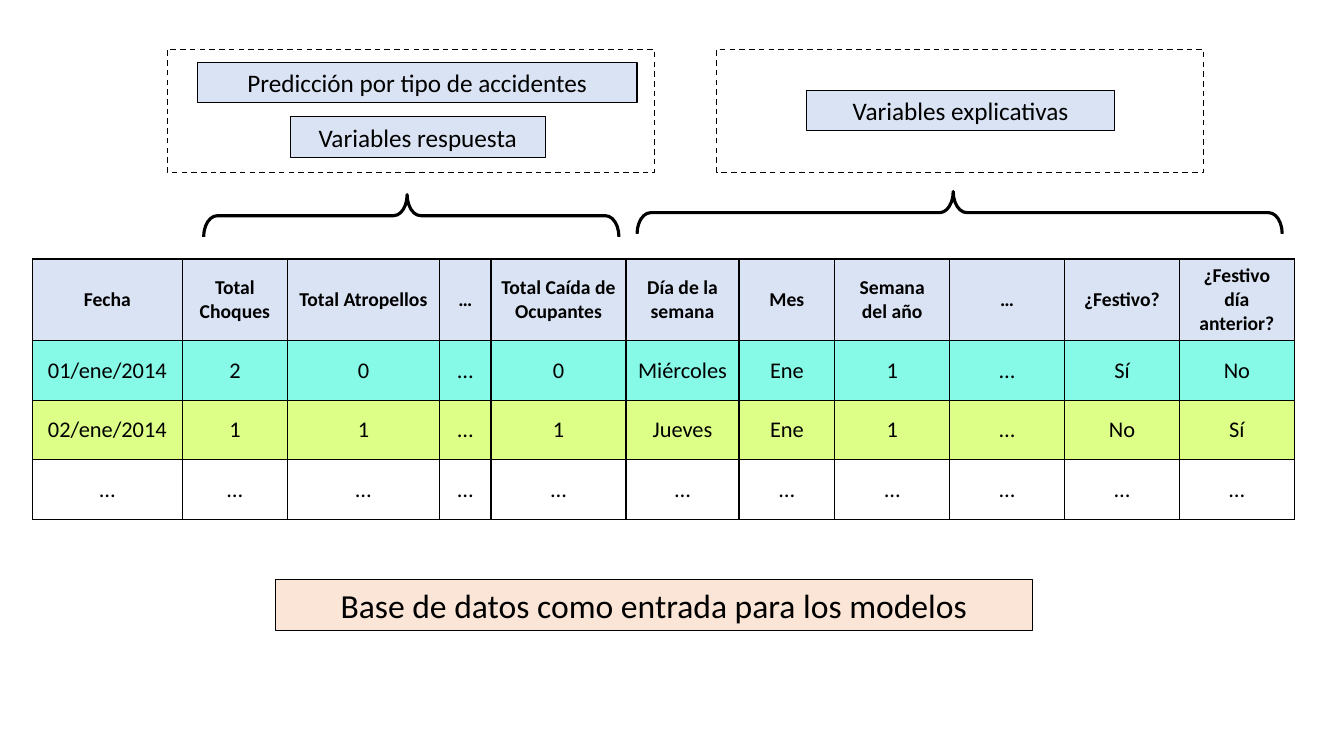
from lxml.etree import SubElement
from pptx import Presentation
from pptx.dml.color import RGBColor
from pptx.enum.dml import MSO_LINE
from pptx.enum.shapes import MSO_SHAPE
from pptx.enum.text import MSO_ANCHOR, MSO_AUTO_SIZE, PP_ALIGN
from pptx.oxml.ns import qn
from pptx.util import Inches, Pt

RECT, BRACE = MSO_SHAPE.RECTANGLE, MSO_SHAPE.LEFT_BRACE
DASH = MSO_LINE.DASH
MIDDLE, CENTER = MSO_ANCHOR.MIDDLE, PP_ALIGN.CENTER
GROW = MSO_AUTO_SIZE.SHAPE_TO_FIT_TEXT

BLACK = RGBColor(0x00, 0x00, 0x00)
BLUE = RGBColor(0xDA, 0xE3, 0xF3)
AQUA = RGBColor(0x86, 0xF9, 0xE7)
LIME = RGBColor(0xDD, 0xFF, 0x87)
PEACH = RGBColor(0xFB, 0xE5, 0xD6)

# Table content: fill, text size, bold, cells
ROWS = [
    (BLUE, 14, True, ["Fecha", "Total\nChoques", "Total Atropellos", "…",
                      "Total Caída de Ocupantes", "Día de la semana", "Mes",
                      "Semana del año", "…", "¿Festivo?",
                      "¿Festivo día anterior?"]),
    (AQUA, 16, False, ["01/ene/2014", "2", "0", "…", "0", "Miércoles",
                       "Ene", "1", "…", "Sí", "No"]),
    (LIME, 16, False, ["02/ene/2014", "1", "1", "…", "1", "Jueves",
                       "Ene", "1", "…", "No", "Sí"]),
    (None, 16, False, ["…"] * 11),
]
COLS = [11.18, 7.8, 11.33, 3.83, 10.05, 8.4, 7.13] + [8.55] * 4
HIGHS = [10.8] + [7.87] * 3


class Board:
    """Draws on one slide; lengths are percent of its width or height."""

    def __init__(self, deck):
        self.wide, self.high = deck.slide_width, deck.slide_height
        self.shapes = deck.slides.add_slide(deck.slide_layouts[6]).shapes
        self.font = {"name": "Calibri", "bold": False}

    def x(self, share):
        return round(self.wide * share / 100)

    def y(self, share):
        return round(self.high * share / 100)

    def area(self, left, top, wide, high):
        return self.x(left), self.y(top), self.x(wide), self.y(high)

    def paint(self, item, color):
        if color is None:
            item.fill.background()
        else:
            item.fill.solid()
            item.fill.fore_color.rgb = color

    def letter(self, frame, text, **style):
        frame.text = text
        for para in frame.paragraphs:
            para.alignment = CENTER
            font = para.runs[0].font
            for key, value in {**self.font, **style}.items():
                setattr(font, key, value)
            font.color.rgb = BLACK

    def shape(self, kind, area, weight, color=None):
        item = self.shapes.add_shape(kind, *area)
        item.shadow.inherit = False
        self.paint(item, color)
        item.line.color.rgb = BLACK
        item.line.width = Pt(weight)
        return item

    def label(self, text, spot, color=BLUE, size=18):
        frame = self.shape(RECT, self.area(*spot), 0.75, color).text_frame
        frame.word_wrap = True
        frame.auto_size = GROW
        self.letter(frame, text, size=Pt(size))

    def group(self, left):
        spot = self.area(left, 6.53, 36.23, 16.27)
        self.shape(RECT, spot, 1).line.dash_style = DASH

    def brace(self, left, top, wide):
        # A left brace turned a quarter, so its box is upright before turning
        x, y, w, h = self.area(left, top, wide, 5.6)
        turned = (x + (w - h) // 2, y + (h - w) // 2, h, w)
        item = self.shape(BRACE, turned, 2.25)
        item.rotation = 90
        item.adjustments[0] = 0.32
        item.adjustments[1] = 0.51

    def border(self, cell):
        props = cell._tc.get_or_add_tcPr()
        for spot, side in enumerate(("lnL", "lnR", "lnT", "lnB")):
            line = SubElement(props, qn("a:" + side), w=str(Pt(1)))
            fill = SubElement(line, qn("a:solidFill"))
            SubElement(fill, qn("a:srgbClr"), val=str(BLACK))
            props.insert(spot, line)

    def table(self, left, top):
        spot = self.area(left, top, sum(COLS), sum(HIGHS))
        grid = self.shapes.add_table(len(ROWS), len(COLS), *spot).table
        for col, wide in zip(grid.columns, COLS):
            col.width = self.x(wide)
        for row, high, (color, size, bold, texts) in zip(grid.rows, HIGHS, ROWS):
            row.height = self.y(high)
            for cell, text in zip(row.cells, texts):
                self.letter(cell.text_frame, text, size=Pt(size), bold=bold)
                cell.vertical_anchor = MIDDLE
                self.paint(cell, color)
                self.border(cell)


def main():
    deck = Presentation()
    deck.slide_width, deck.slide_height = Inches(13.33), Inches(7.5)
    board = Board(deck)

    # Data table and the braces over its two column groups
    board.table(2.4, 34.27)
    board.brace(15.15, 25.73, 30.9)
    board.brace(47.4, 25.33, 48)

    # Response variables
    board.label("Predicción por tipo de accidentes", (14.7, 8.27, 32.7, 5.33))
    board.label("Variables respuesta", (21.6, 15.47, 18.98, 5.33))
    board.group(12.45)

    # Explanatory variables
    board.group(53.33)
    board.label("Variables explicativas", (60, 12, 22.95, 5.33))

    # Caption
    board.label("Base de datos como entrada para los modelos",
                (20.48, 76.67, 56.33, 6.67), PEACH, 24)
    deck.save("out.pptx")


if __name__ == "__main__":
    main()
